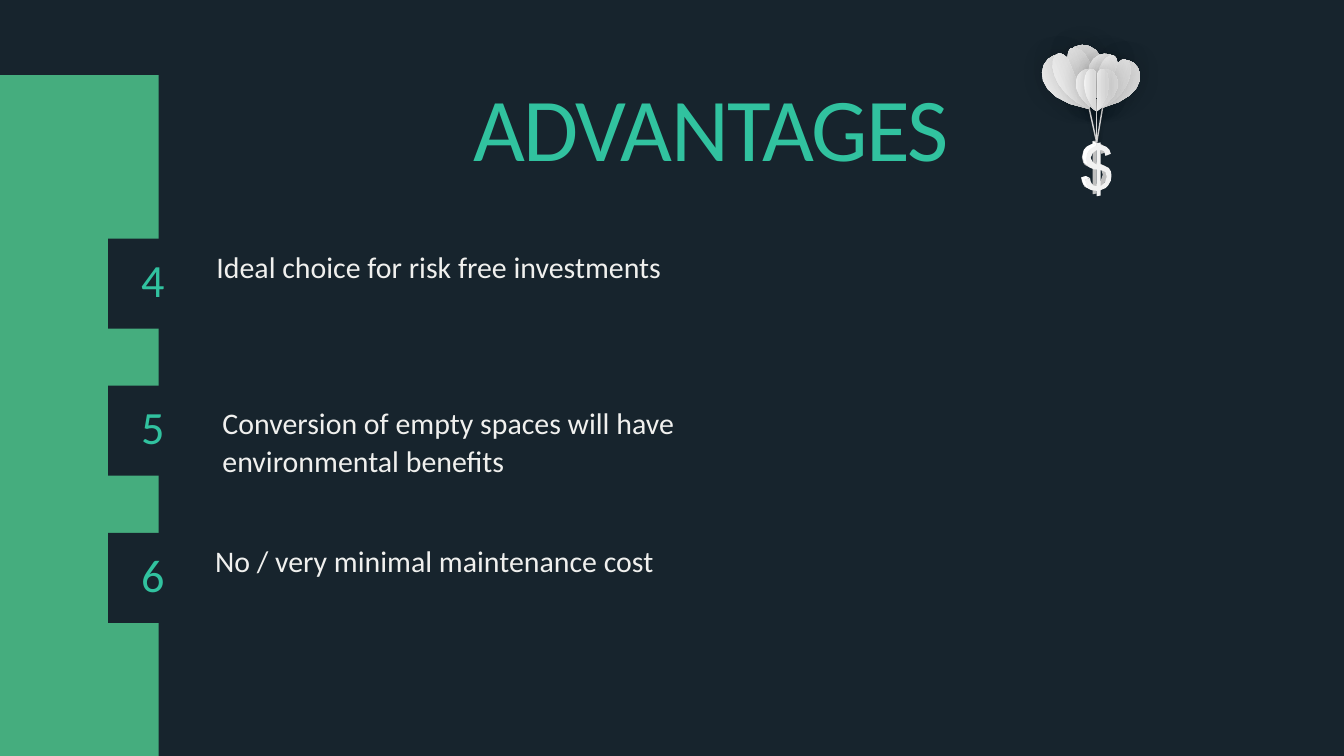
"""Build the advantages slide with its numbered list and balloon art."""
from dataclasses import dataclass
from math import cos, radians, sin

from lxml.etree import SubElement
from pptx import Presentation
from pptx.dml.color import RGBColor
from pptx.enum.shapes import MSO_CONNECTOR, MSO_SHAPE
from pptx.enum.text import MSO_ANCHOR, MSO_AUTO_SIZE, PP_ALIGN
from pptx.oxml.ns import qn
from pptx.util import Inches, Pt


@dataclass(frozen=True)
class Theme:
    """Colours, font and type sizes."""
    night: str = "17242D"
    green: str = "45AD7E"
    mint: str = "31C29F"
    pale: str = "F0F0EE"
    light: str = "F2F2F2"
    mid: str = "D9D9D9"
    dark: str = "BFBFBF"
    white: str = "FFFFFF"
    black: str = "000000"
    font: str = "Calibri"
    title: float = 96
    body: float = 32
    digit: float = 49.5


COLS, ROWS = 20, 11.25
STEP = 2.19
ITEMS = [
    ("4", "Ideal choice for risk free investments", 3.22, 3.65, 0.58),
    ("5", "Conversion of empty spaces will have environmental benefits", 3.31, 5.97, 1.18),
    ("6", "No / very minimal maintenance cost", 3.2, 8.03, 0.59),
]
TOP = [(0.12, -0.63), (0.08, -0.63), (0.03, -0.6), (0, -0.55)]
SIDE = [(0, 0), (0.5, -0.32), (0.3, -0.64), (0.12, -0.63)]
PETALS = [1, -1, 0.6, -0.6]
BLOOMS = [(16.2, 1.62, 1.48, -22.5), (16.42, 1.6, 1.24, 17.8), (16.32, 1.66, 1, 0)]
STRINGS = [(16.19, 1.53), (16.42, 1.53), (16.32, 1.48)]
KNOT = (16.32, 2.12)
SIGN = [
    [(16.53, 2.55), (16.54, 2.61), (16.53, 2.69), (16.49, 2.76), (16.45, 2.8),
     (16.4, 2.82), (16.38, 2.83), (16.38, 2.91), (16.32, 2.92), (16.32, 2.84),
     (16.24, 2.83), (16.2, 2.81), (16.18, 2.77), (16.16, 2.73), (16.15, 2.67),
     (16.22, 2.65), (16.23, 2.7), (16.25, 2.74), (16.27, 2.76), (16.32, 2.77),
     (16.32, 2.52), (16.28, 2.52), (16.23, 2.5), (16.2, 2.48), (16.18, 2.45),
     (16.16, 2.37), (16.18, 2.28), (16.22, 2.22), (16.25, 2.2), (16.29, 2.18),
     (16.32, 2.17), (16.32, 2.13), (16.38, 2.12), (16.38, 2.16), (16.43, 2.17),
     (16.47, 2.19), (16.51, 2.23), (16.53, 2.29), (16.45, 2.32), (16.43, 2.25),
     (16.38, 2.23), (16.38, 2.45), (16.44, 2.47), (16.5, 2.5)],
    [(16.44, 2.72), (16.47, 2.63), (16.45, 2.56), (16.38, 2.53), (16.38, 2.77)],
    [(16.32, 2.45), (16.32, 2.23), (16.26, 2.28), (16.23, 2.35), (16.26, 2.41),
     (16.3, 2.44)],
]
FACES = [
    [(16.23, 2.82), (16.17, 2.79), (16.12, 2.74), (16.09, 2.64), (16.16, 2.62),
     (16.22, 2.65), (16.15, 2.67), (16.18, 2.77)],
    [(16.26, 2.14), (16.32, 2.17), (16.22, 2.23), (16.18, 2.29), (16.17, 2.37),
     (16.19, 2.45), (16.23, 2.5), (16.18, 2.46), (16.13, 2.42), (16.11, 2.33),
     (16.13, 2.23), (16.18, 2.18)],
    [(16.32, 2.17), (16.26, 2.14), (16.26, 2.1), (16.32, 2.13)],
]


def curve(dots, steps=8):
    """Return points along a cubic curve."""
    def blend(t, vals):
        a, b, c, d = vals
        s = 1 - t
        return s ** 3 * a + 3 * s * s * t * b + 3 * s * t * t * c + t ** 3 * d
    return [tuple(blend(i / steps, vals) for vals in zip(*dots)) for i in range(steps + 1)]


class Deck:
    """Hold the theme and the current slide, and draw on its grid."""

    def __init__(self, theme):
        """Open a title-only slide with a dark ground."""
        self.theme = theme
        self.file = Presentation()
        self.file.slide_width, self.file.slide_height = Inches(20), Inches(11.25)
        self.slide = self.file.slides.add_slide(self.file.slide_layouts[5])
        self.host = self.slide.shapes
        self.paint(self.slide.background.fill, theme.night)

    def paint(self, fill, tint):
        """Give a fill one solid colour."""
        fill.solid()
        fill.fore_color.rgb = RGBColor.from_string(tint)

    def spot(self, x, y):
        """Turn columns and rows into slide lengths."""
        return round(self.file.slide_width * x / COLS), round(self.file.slide_height * y / ROWS)

    def area(self, x, y, wide, high):
        """Turn a grid area into left, top, width and height."""
        return *self.spot(x, y), *self.spot(wide, high)

    def group(self):
        """Start a group that takes the next shapes."""
        self.host = self.slide.shapes.add_group_shape().shapes

    def shade(self, shape, alpha, blur, dist=0, angle=0):
        """Add a soft black outer shadow."""
        node = SubElement(shape.element.spPr, qn("a:effectLst"))
        glow = SubElement(node, qn("a:outerShdw"), blurRad=str(Pt(blur)),
                          dist=str(Pt(dist)), dir=str(angle * 60000))
        tint = SubElement(glow, qn("a:srgbClr"), val=self.theme.black)
        SubElement(tint, qn("a:alpha"), val=str(alpha * 1000))

    def block(self, place, tint):
        """Draw a plain rectangle."""
        shape = self.host.add_shape(MSO_SHAPE.RECTANGLE, *self.area(*place))
        shape.shadow.inherit = False
        shape.line.fill.background()
        self.paint(shape.fill, tint)

    def label(self, shape, words, size, lead, tint, align=PP_ALIGN.LEFT, track=0):
        """Set one run of text in a shape."""
        frame = shape.text_frame
        frame.word_wrap = True
        frame.auto_size = MSO_AUTO_SIZE.SHAPE_TO_FIT_TEXT
        frame.vertical_anchor = MSO_ANCHOR.TOP
        frame.margin_left = frame.margin_right = frame.margin_top = frame.margin_bottom = 0
        line = frame.paragraphs[0]
        line.alignment, line.line_spacing = align, Pt(lead)
        run = line.add_run()
        run.text = words
        run.font.name, run.font.size = self.theme.font, Pt(size)
        run.font.color.rgb = RGBColor.from_string(tint)
        if track:
            run.font._element.set("spc", str(round(track * 100)))

    def title(self, place, words):
        """Move and fill the title placeholder."""
        shape = self.slide.shapes.title
        shape.left, shape.top, shape.width, shape.height = self.area(*place)
        self.label(shape, words, self.theme.title, 88, self.theme.mint, PP_ALIGN.CENTER, -1.8)

    def text(self, place, words, *style):
        """Add a text box."""
        self.label(self.host.add_textbox(*self.area(*place)), words, *style)

    def badge(self, y, digit):
        """Draw a numbered square."""
        self.group()
        self.block((1.61, y, 1.34, 1.34), self.theme.night)
        self.text((1.82, y + 0.33, 0.91, 0.75), digit, self.theme.digit, self.theme.digit,
                  self.theme.mint, PP_ALIGN.CENTER, -1)

    def string(self, start, end):
        """Draw a thin balloon string."""
        line = self.host.add_connector(MSO_CONNECTOR.STRAIGHT, *self.spot(*start), *self.spot(*end))
        line.line.width = Pt(1.5)
        line.line.color.rgb = RGBColor.from_string(self.theme.mid)
        self.shade(line, 25, 5)

    def outline(self, loops, tint=None, shift=(0, 0)):
        """Draw closed loops as one shape."""
        loops = [[self.spot(x + shift[0], y + shift[1]) for x, y in loop] for loop in loops]
        pen = self.host.build_freeform(*loops[0][0])
        for loop in loops:
            if loop is not loops[0]:
                pen.move_to(*loop[0])
            pen.add_line_segments(loop[1:], close=True)
        shape = pen.convert_to_shape()
        shape.line.fill.background()
        if tint:
            shape.shadow.inherit = False
            self.paint(shape.fill, tint)
        return shape

    def petal(self, x, y, scale, tilt, stretch):
        """Draw one shaded balloon petal, tilted about its foot."""
        c, s = cos(radians(tilt)) * scale, sin(radians(tilt)) * scale
        dots = [(a * stretch, b) for a, b in curve(TOP) + curve(SIDE)]
        shape = self.outline([[(x + a * c - b * s, y + a * s + b * c) for a, b in dots]])
        shape.fill.gradient()
        shape.fill.gradient_angle = -tilt % 360
        tints = (self.theme.light, 0), (self.theme.mid, 0.75)
        for stop, (tint, place) in zip(shape.fill.gradient_stops, tints):
            stop.color.rgb = RGBColor.from_string(tint)
            stop.position = place
        self.shade(shape, 15, 25, 1, 270)

    def balloon(self):
        """Draw the balloon, its strings and the dollar sign."""
        self.group()
        for end in STRINGS:
            self.string(KNOT, end)
        for bloom in BLOOMS:
            for stretch in PETALS:
                self.petal(*bloom, stretch)
        self.outline(SIGN, self.theme.dark, (-0.06, -0.03))
        for face in FACES:
            self.outline([face], self.theme.white)
        self.outline(SIGN, self.theme.light)


def main():
    """Lay out the slide and save it."""
    theme = Theme()
    deck = Deck(theme)
    deck.block((0, 1.12, 2.36, 10.13), theme.green)
    deck.title((3.31, 1.45, 14.54, 1.33), "ADVANTAGES")
    for i, (digit, words, x, y, high) in enumerate(ITEMS):
        deck.host = deck.slide.shapes
        deck.text((x, y, 7.85, high), words, theme.body, 41.6, theme.pale)
        deck.badge(3.55 + i * STEP, digit)
    deck.balloon()
    deck.file.save("out.pptx")


if __name__ == "__main__":
    main()
